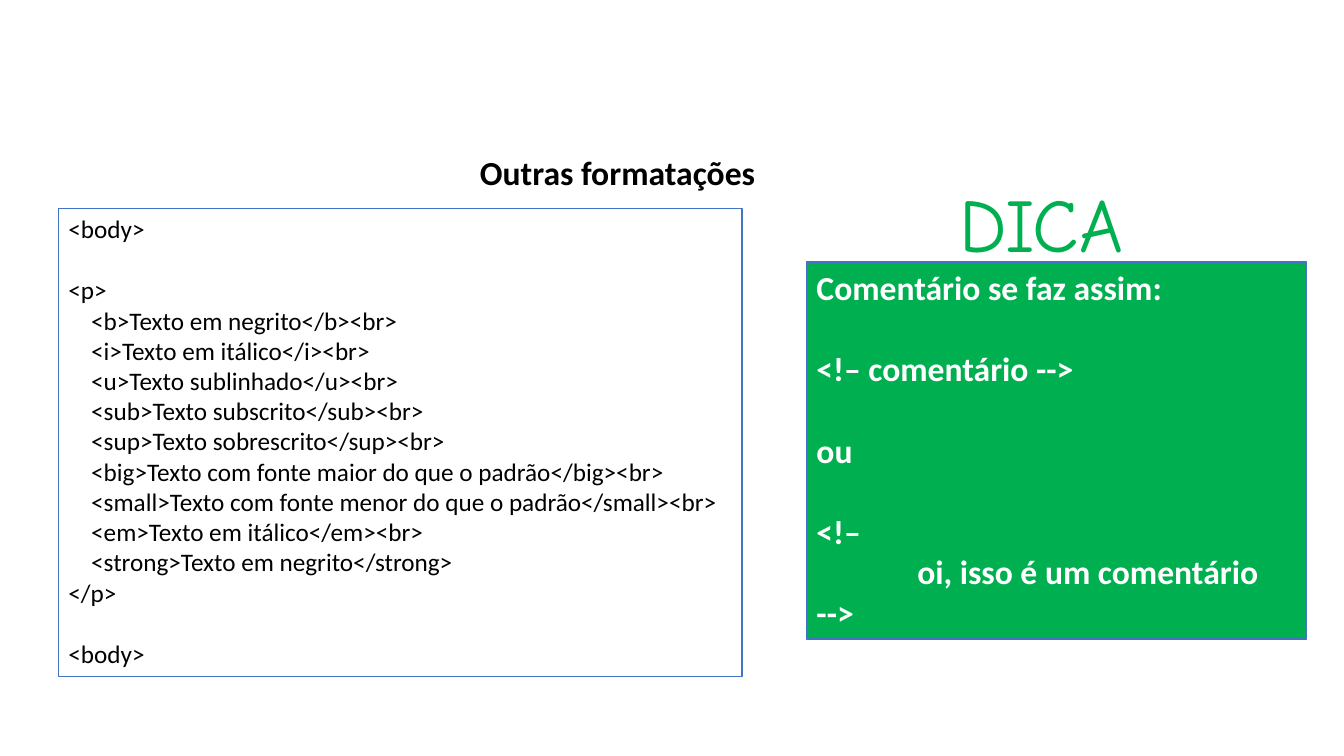
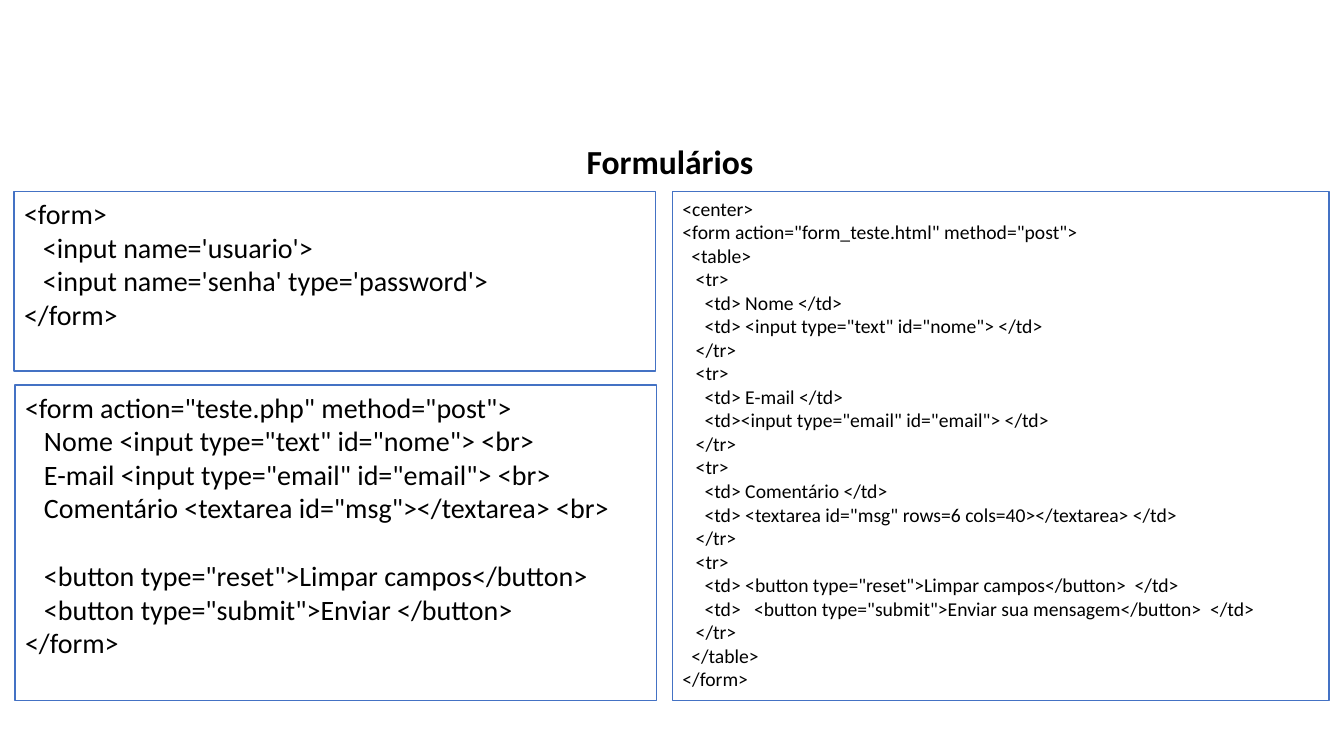
from dataclasses import dataclass

from pptx import Presentation
from pptx.dml.color import RGBColor
from pptx.enum.shapes import MSO_SHAPE
from pptx.enum.text import MSO_ANCHOR, PP_ALIGN
from pptx.util import Inches, Pt


@dataclass(frozen=True)
class Theme:
    """Colours, fonts and sizes that the slides share."""
    ink: str = "000000"
    paper: str = "FFFFFF"
    tip: str = "00B050"
    border: str = "4472C4"
    font: str = "Calibri"
    tip_font: str = "Comic Neue"
    title_size: int = 24
    tip_size: int = 54
    border_width: int = 1
    space_em: float = 0.226
    line_em: float = 1.22
    tab: int = 72


THEME = Theme()

# In code, leading spaces or a tab set the indent; an empty line sets a gap.
FORMATTING_CODE = """<body>

<p>
    <b>Texto em negrito</b><br>
    <i>Texto em itálico</i><br>
    <u>Texto sublinhado</u><br>
    <sub>Texto subscrito</sub><br>
    <sup>Texto sobrescrito</sup><br>
    <big>Texto com fonte maior do que o padrão</big><br>
    <small>Texto com fonte menor do que o padrão</small><br>
    <em>Texto em itálico</em><br>
    <strong>Texto em negrito</strong>
</p>

<body>"""

COMMENT_TIP = """Comentário se faz assim:

<!– comentário -->

ou

<!–
\toi, isso é um comentário
-->"""

LOGIN_FORM = """<form>
   <input name='usuario'>
   <input name='senha' type='password'>
</form>"""

CONTACT_FORM = """<form action="teste.php" method="post">
   Nome <input type="text" id="nome"> <br>
   E-mail <input type="email" id="email"> <br>
   Comentário <textarea id="msg"></textarea> <br>

   <button type="reset">Limpar campos</button>
   <button type="submit">Enviar </button>
</form>"""

TABLE_FORM = """<center>
<form action="form_teste.html" method="post">
  <table>
   <tr>
     <td> Nome </td>
     <td> <input type="text" id="nome"> </td>
   </tr>
   <tr>
     <td> E-mail </td>
     <td><input type="email" id="email"> </td>
   </tr>
   <tr>
     <td> Comentário </td>
     <td> <textarea id="msg" rows=6 cols=40></textarea> </td>
   </tr>
   <tr>
     <td> <button type="reset">Limpar campos</button>  </td>
     <td>   <button type="submit">Enviar sua mensagem</button>  </td>
   </tr>
  </table>
</form>"""

# Boxes are left, top, width, height in inches.
SLIDES = [
    {
        "title": ("Outras formatações", (3.42, 1.46, 5.41, 0.5)),
        "panels": [
            {"code": FORMATTING_CODE, "box": (0.58, 2.07, 6.78, 4.64), "size": 18},
            {"code": COMMENT_TIP, "box": (8, 2.6, 4.96, 3.74), "size": 24,
             "fill": THEME.tip, "color": THEME.paper, "bold": True},
        ],
        "tip": ("DICA", (9.24, 1.71, 2.18, 1.01)),
    },
    {
        "title": ("Formulários", (1.64, 1.35, 10.01, 0.5)),
        "panels": [
            {"code": LOGIN_FORM, "box": (0.14, 1.9, 6.36, 1.78), "size": 20},
            {"code": CONTACT_FORM, "box": (0.15, 3.82, 6.36, 3.13), "size": 20},
            {"code": TABLE_FORM, "box": (6.67, 1.9, 6.51, 5.05), "size": 14},
        ],
    },
]


def place(box):
    """Turn a box in inches into lengths."""
    return [Inches(value) for value in box]


def write(paragraph, text, size, color=THEME.ink, bold=False, font=THEME.font):
    """Add one styled run to a paragraph."""
    run = paragraph.add_run()
    run.text = text
    run.font.name = font
    run.font.size = Pt(size)
    run.font.bold = bold
    run.font.color.rgb = RGBColor.from_string(color)


def add_heading(slide, text, box, wrap=True, **style):
    """Add one centred line of text."""
    frame = slide.shapes.add_textbox(*place(box)).text_frame
    frame.word_wrap = wrap
    heading = frame.paragraphs[0]
    heading.alignment = PP_ALIGN.CENTER
    write(heading, text, **style)


def indent_of(line, size):
    """Measure the leading blanks of a line in points."""
    blanks = line[:len(line) - len(line.lstrip())]
    return (blanks.count("\t") * THEME.tab
            + blanks.count(" ") * THEME.space_em * size)


def add_panel(slide, code, box, size, fill=THEME.paper, **style):
    """Add a bordered panel with indented lines of code."""
    panel = slide.shapes.add_shape(MSO_SHAPE.RECTANGLE, *place(box))
    panel.shadow.inherit = False
    panel.fill.solid()
    panel.fill.fore_color.rgb = RGBColor.from_string(fill)
    panel.line.color.rgb = RGBColor.from_string(THEME.border)
    panel.line.width = Pt(THEME.border_width)
    frame = panel.text_frame
    frame.word_wrap = True
    frame.vertical_anchor = MSO_ANCHOR.TOP

    paragraph, gap = frame.paragraphs[0], 0
    for number, line in enumerate(code.splitlines()):
        if not line:
            gap += THEME.line_em * size
            continue
        if number:
            paragraph = frame.add_paragraph()
        paragraph.alignment = PP_ALIGN.LEFT
        paragraph.space_before = Pt(gap)
        properties = paragraph._p.get_or_add_pPr()
        properties.set("marL", str(int(Pt(indent_of(line, size)))))
        properties.set("indent", "0")
        write(paragraph, line.strip(), size, **style)
        gap = 0


def build():
    """Build and save the presentation."""
    deck = Presentation()
    deck.slide_width, deck.slide_height = Inches(13.33), Inches(7.5)
    for content in SLIDES:
        slide = deck.slides.add_slide(deck.slide_layouts[6])
        add_heading(slide, *content["title"], size=THEME.title_size, bold=True)
        for panel in content["panels"]:
            add_panel(slide, **panel)
        if "tip" in content:
            add_heading(slide, *content["tip"], wrap=False, size=THEME.tip_size,
                        color=THEME.tip, font=THEME.tip_font)
    deck.save("out.pptx")


build()
